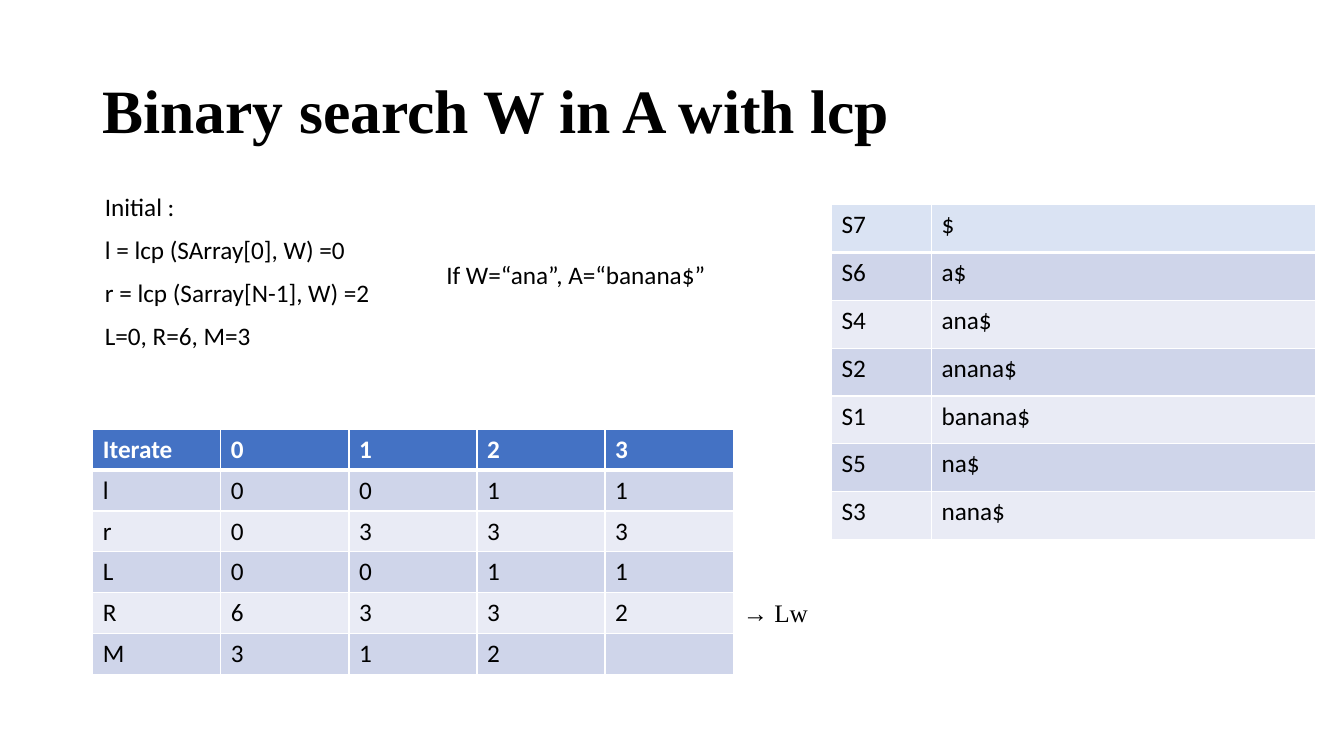
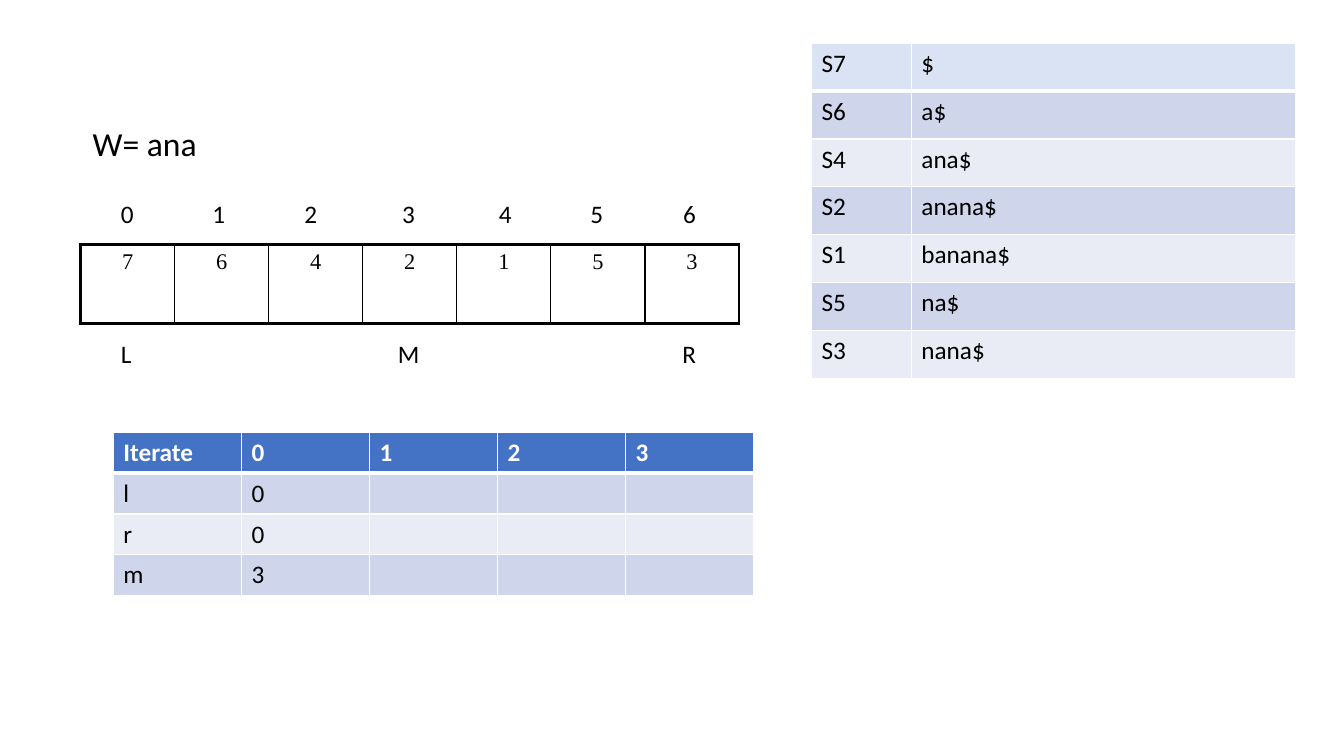
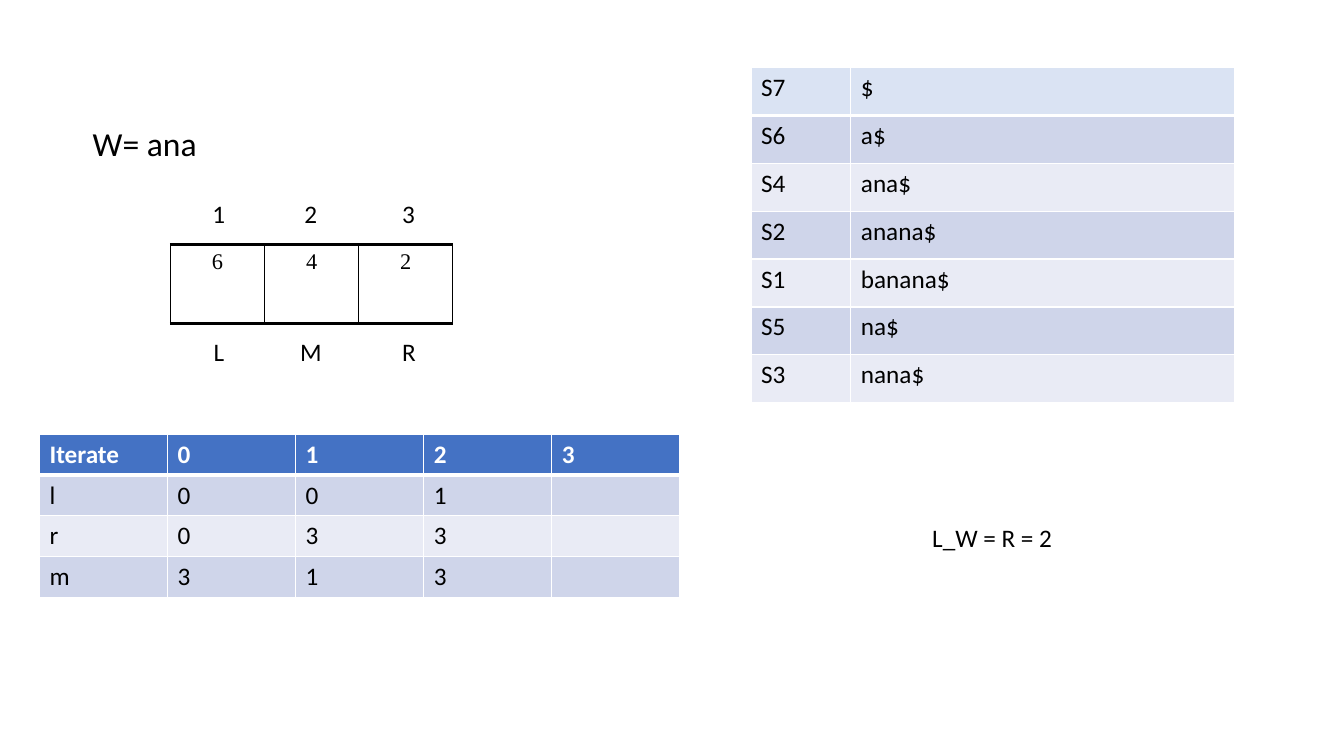
"""Build three slides on binary search in a suffix array with lcp values."""
import pptx
import pptx.util
import pptx.dml.color
import pptx.enum.text
import pptx.oxml
import pptx.oxml.ns

PX = 3810
BLACK = pptx.dml.color.RGBColor(0x00, 0x00, 0x00)
WHITE = pptx.dml.color.RGBColor(0xFF, 0xFF, 0xFF)
BLUE = pptx.dml.color.RGBColor(0x44, 0x72, 0xC4)
PALE_BLUE = pptx.dml.color.RGBColor(0xDA, 0xE3, 0xF3)
BANDS = [pptx.dml.color.RGBColor(0xCF, 0xD5, 0xEA), pptx.dml.color.RGBColor(0xE9, 0xEB, 0xF5)]
SANS = "Calibri"
SERIF = "Times New Roman"
LEFT = pptx.enum.text.PP_ALIGN.LEFT
CENTER = pptx.enum.text.PP_ALIGN.CENTER

SUFFIXES = ["S7 $", "S6 a$", "S4 ana$", "S2 anana$", "S1 banana$", "S5 na$", "S3 nana$"]
SUFFIX_COLS = [238, 914]
ITERATE_COLS = [305] * 5
INDEX_X = [264, 482, 701, 934, 1164, 1382, 1603]
INITIAL = "Initial :\nl = lcp (SArray[0], W) =0\nr = lcp (Sarray[N-1], W) =2\nL=0, R=6, M=3"


def write(tf, text, size=18, font=SANS, color=BLACK, bold=False, align=LEFT, before=0, spacing=1.0):
    for i, line in enumerate(text.split("\n")):
        p = tf.add_paragraph() if i else tf.paragraphs[0]
        p.alignment = align
        p.line_spacing = spacing
        p.space_before = pptx.util.Pt(before if i else 0)
        r = p.add_run()
        r.text = line
        r.font.size = pptx.util.Pt(size)
        r.font.name = font
        r.font.bold = bold
        r.font.color.rgb = color


def add_grid(s, x, y, widths, height, rows, head=None, edge=WHITE, left=1, **style):
    frame = s.shapes.add_table(len(rows), len(widths), x * PX, y * PX,
                               sum(widths) * PX, height * len(rows) * PX)
    table = frame.table
    table.first_row = table.horz_banding = head is not None
    for j, width in enumerate(widths):
        table.columns[j].width = width * PX
    for i, row in enumerate(rows):
        table.rows[i].height = height * PX
        words = row.split()
        for j in range(len(widths)):
            cell = table.cell(i, j)
            top = bottom = 2.25
            if head is not None:
                top, bottom = (3 if i == 1 else 1), (1 if i else 3)
            sides = {"L": 1 if j else left, "R": 1, "T": top, "B": bottom}
            for side, points in sides.items():
                cell._tc.get_or_add_tcPr().append(pptx.oxml.parse_xml(
                    f'<a:ln{side} {pptx.oxml.ns.nsdecls("a")} w="{int(points * 12700)}"><a:solidFill>'
                    f'<a:srgbClr val="{edge}"/></a:solidFill></a:ln{side}>'))
            if head is None:
                cell.fill.background()
            else:
                cell.fill.solid()
                cell.fill.fore_color.rgb = BANDS[(i - 1) % 2] if i else head
            if j < len(words):
                heading = i == 0 and head == BLUE
                write(cell.text_frame, words[j], color=WHITE if heading else BLACK,
                      bold=heading, **style)


prs = pptx.Presentation()
prs.slide_width = 3200 * PX
prs.slide_height = 1800 * PX

INDEX_ROW = [(str(i), x, 461, 79, 96, True, {}) for i, x in enumerate(INDEX_X)]
QUERY = ("W= ana", 197, 281, 377, 120, True, {"size": 24})

slides = [
    {
        "title": "Binary search W in A with lcp",
        "suffixes": (1980, 487),
        "iterate": (221, 1022),
        "steps": ["l 0 0 1 1", "r 0 3 3 3", "L 0 0 1 1", "R 6 3 3 2", "M 3 1 2"],
        "boxes": [
            (INITIAL, 226, 444, 814, 425, True, {"before": 9}),
            ("→ Lw", 1745, 1411, 295, 96, True, {"font": SERIF}),
            ("If W=“ana”, A=“banana$”", 1039, 605, 854, 96, True, {}),
        ],
    },
    {
        "suffixes": (1932, 103),
        "iterate": (270, 1030),
        "steps": ["l 0", "r 0", "m 3"],
        "array": (192, "7 6 4 2 1 5 3", 2.25),
        "boxes": INDEX_ROW + [
            QUERY,
            ("L", 264, 794, 74, 96, False, {}),
            ("M", 924, 794, 101, 96, False, {}),
            ("R", 1601, 794, 82, 96, False, {}),
        ],
    },
    {
        "suffixes": (1788, 161),
        "iterate": (94, 1034),
        "steps": ["l 0 0 1", "r 0 3 3", "m 3 1 3"],
        "array": (406, "6 4 2", 1),
        "boxes": INDEX_ROW[1:4] + [
            QUERY,
            ("L", 485, 788, 74, 96, False, {}),
            ("M", 691, 788, 101, 96, False, {}),
            ("R", 934, 788, 82, 96, False, {}),
            ("L_W = R = 2", 2196, 1231, 338, 96, False, {}),
        ],
    },
]

for content in slides:
    s = prs.slides.add_slide(prs.slide_layouts[5 if "title" in content else 6])
    if "title" in content:
        sp = s.shapes.title
        sp.left, sp.top, sp.width, sp.height = 220 * PX, 96 * PX, 2760 * PX, 348 * PX
        sp.text_frame.vertical_anchor = pptx.enum.text.MSO_ANCHOR.MIDDLE
        write(sp.text_frame, content["title"], size=44, font=SERIF, bold=True, spacing=0.9)
    if "array" in content:
        x, values, left = content["array"]
        add_grid(s, x, 583, [224] * len(values.split()), 188, [values], edge=BLACK, left=left,
                 size=16, font=SERIF, align=CENTER)
    add_grid(s, *content["suffixes"], SUFFIX_COLS, 114, SUFFIXES, head=PALE_BLUE)
    add_grid(s, *content["iterate"], ITERATE_COLS, 97, ["Iterate 0 1 2 3"] + content["steps"], head=BLUE)
    for text, x, y, w, h, wrap, style in content["boxes"]:
        sp = s.shapes.add_textbox(x * PX, y * PX, w * PX, h * PX)
        sp.text_frame.word_wrap = wrap
        write(sp.text_frame, text, **style)

prs.save("out.pptx")
